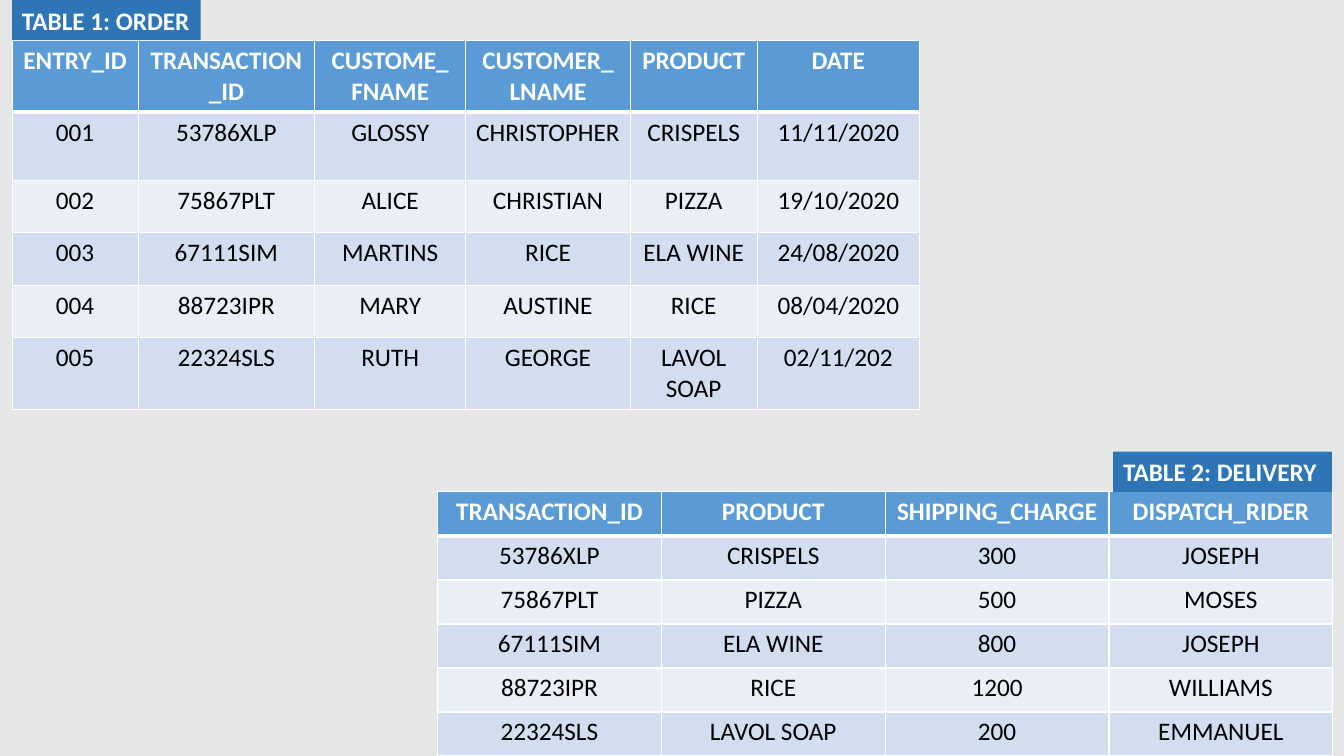
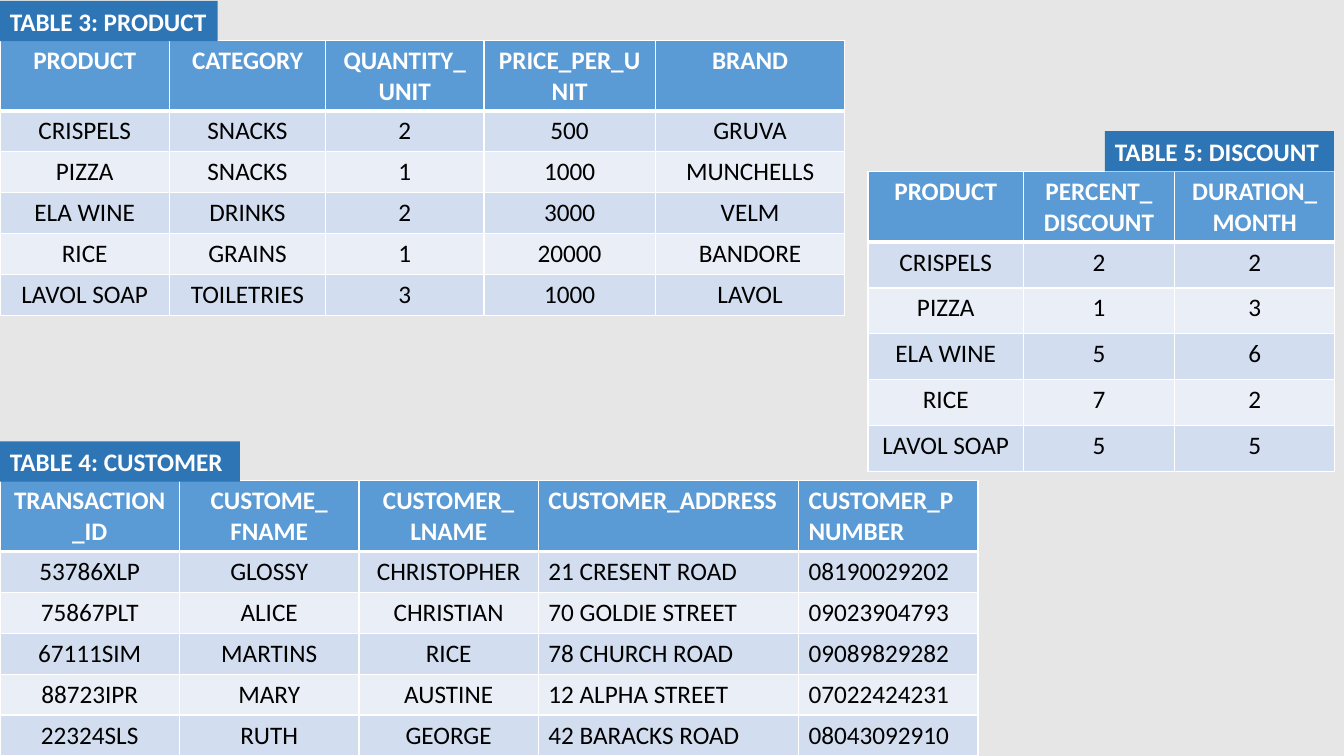
"""Build two slides of shop database tables, each with a title tag."""
from lxml import etree
from pptx import Presentation
from pptx.dml.color import RGBColor
from pptx.enum import shapes, text
from pptx.oxml.ns import qn
from pptx.util import Inches, Pt

PAGE_GREY = RGBColor(0xE7, 0xE6, 0xE6)
TAG_BLUE = RGBColor(0x2E, 0x75, 0xB6)
HEADER_BLUE = RGBColor(0x5B, 0x9B, 0xD5)
BAND_DARK = RGBColor(0xD2, 0xDE, 0xEF)
BAND_LIGHT = RGBColor(0xEA, 0xEF, 0xF7)
WHITE = RGBColor(0xFF, 0xFF, 0xFF)
BLACK = RGBColor(0, 0, 0)

HEADING = {"name": "Calibri", "size": Pt(18), "bold": True}
BODY = {**HEADING, "bold": False}
TAG_HEIGHT = 0.4
TALL_HEADER = 0.7
THIN_LINE, THICK_LINE = Pt(1), Pt(3)

TRANSACTIONS = ["53786XLP", "75867PLT", "67111SIM", "88723IPR", "22324SLS"]
FIRST_NAMES = ["GLOSSY", "ALICE", "MARTINS", "MARY", "RUTH"]
LAST_NAMES = ["CHRISTOPHER", "CHRISTIAN", "RICE", "AUSTINE", "GEORGE"]
PRODUCTS = ["CRISPELS", "PIZZA", "ELA WINE", "RICE", "LAVOL SOAP"]

ORDER = {
    "ENTRY_ID": ["001", "002", "003", "004", "005"],
    "TRANSACTION_ID": TRANSACTIONS,
    "CUSTOME_\nFNAME": FIRST_NAMES,
    "CUSTOMER_\nLNAME": LAST_NAMES,
    "PRODUCT": PRODUCTS,
    "DATE": ["11/11/2020", "19/10/2020", "24/08/2020", "08/04/2020", "02/11/202"],
}
DELIVERY = {
    "TRANSACTION_ID": TRANSACTIONS,
    "PRODUCT": PRODUCTS,
    "SHIPPING_CHARGE": ["300", "500", "800", "1200", "200"],
    "DISPATCH_RIDER": ["JOSEPH", "MOSES", "JOSEPH", "WILLIAMS", "EMMANUEL"],
}
PRODUCT = {
    "PRODUCT": PRODUCTS,
    "CATEGORY": ["SNACKS", "SNACKS", "DRINKS", "GRAINS", "TOILETRIES"],
    "QUANTITY_UNIT": ["2", "1", "2", "1", "3"],
    "PRICE_PER_UNIT": ["500", "1000", "3000", "20000", "1000"],
    "BRAND": ["GRUVA", "MUNCHELLS", "VELM", "BANDORE", "LAVOL"],
}
CUSTOMER = {
    "TRANSACTION_ID": TRANSACTIONS,
    "CUSTOME_\nFNAME": FIRST_NAMES,
    "CUSTOMER_\nLNAME": LAST_NAMES,
    "CUSTOMER_ADDRESS": ["21 CRESENT ROAD", "70 GOLDIE STREET", "78 CHURCH ROAD",
                         "12 ALPHA STREET", "42 BARACKS ROAD"],
    "CUSTOMER_PNUMBER": ["08190029202", "09023904793", "09089829282",
                         "07022424231", "08043092910"],
}
DISCOUNT = {
    "PRODUCT": PRODUCTS,
    "PERCENT_\nDISCOUNT": ["2", "1", "5", "7", "5"],
    "DURATION_\nMONTH": ["2", "3", "6", "2", "5"],
}
LEFT_ALIGNED = {"CUSTOMER_ADDRESS", "CUSTOMER_PNUMBER"}


def style_text(frame, style, color, align):
    """Apply one font style and alignment to every paragraph."""
    for para in frame.paragraphs:
        para.alignment = align
        for span in para.runs:
            for name, value in style.items():
                setattr(span.font, name, value)
            span.font.color.rgb = color


def add_borders(cell, row):
    """Draw white cell edges, thick below the header row."""
    widths = {"lnL": THIN_LINE, "lnR": THIN_LINE,
              "lnT": THICK_LINE if row == 1 else THIN_LINE,
              "lnB": THICK_LINE if row == 0 else THIN_LINE}
    properties = cell._tc.get_or_add_tcPr()
    for edge, width in widths.items():
        line = etree.SubElement(properties, qn(f"a:{edge}"), w=str(width))
        fill = etree.SubElement(line, qn("a:solidFill"))
        etree.SubElement(fill, qn("a:srgbClr"), val=str(WHITE))


def fill_cell(cell, row, content, align):
    """Write and colour one cell according to its row."""
    cell.text = content
    add_borders(cell, row)
    cell.fill.solid()
    if row == 0:
        cell.fill.fore_color.rgb = HEADER_BLUE
        style_text(cell.text_frame, HEADING, WHITE, align)
    else:
        cell.fill.fore_color.rgb = BAND_DARK if row % 2 else BAND_LIGHT
        style_text(cell.text_frame, BODY, BLACK, align)


def row_heights(total, header):
    """Share the height below the header among five equal rows."""
    return [header] + [(total - header) / 5] * 5


def add_data_table(page, columns, left, top, widths, heights):
    """Add a banded table from a dict of headings and column values."""
    frame = page.shapes.add_table(
        len(heights), len(widths), Inches(left), Inches(top),
        Inches(sum(widths)), Inches(sum(heights)))
    table = frame.table
    for row, height in zip(table.rows, heights):
        row.height = Inches(height)
    for index, (heading, values) in enumerate(columns.items()):
        table.columns[index].width = Inches(widths[index])
        align = text.PP_ALIGN.LEFT if heading in LEFT_ALIGNED else text.PP_ALIGN.CENTER
        for row, content in enumerate([heading, *values]):
            fill_cell(table.cell(row, index), row, content, align)


def add_tag(page, title, left, top, width):
    """Add the blue title tag of a table."""
    box = page.shapes.add_shape(
        shapes.MSO_SHAPE.RECTANGLE, Inches(left), Inches(top),
        Inches(width), Inches(TAG_HEIGHT))
    box.shadow.inherit = False
    box.fill.solid()
    box.fill.fore_color.rgb = TAG_BLUE
    box.line.fill.background()
    frame = box.text_frame
    settings = {"text": title, "word_wrap": True, "margin_right": 0,
                "auto_size": text.MSO_AUTO_SIZE.SHAPE_TO_FIT_TEXT}
    for name, value in settings.items():
        setattr(frame, name, value)
    style_text(frame, HEADING, WHITE, text.PP_ALIGN.LEFT)


def add_page(deck):
    """Add a blank slide with the shared grey background."""
    page = deck.slides.add_slide(deck.slide_layouts[6])
    page.background.fill.solid()
    page.background.fill.fore_color.rgb = PAGE_GREY
    return page


def main():
    """Build both slides and save the deck."""
    deck = Presentation()
    deck.slide_width, deck.slide_height = Inches(13.33), Inches(7.5)

    page = add_page(deck)
    add_data_table(page, ORDER, 0.12, 0.4, [1.25, 1.75, 1.5, 1.63, 1.26, 1.61],
                   [TALL_HEADER, 0.68, 0.52, 0.52, 0.52, 0.7])
    add_tag(page, "TABLE 1: ORDER", 0.12, 0, 1.87)
    add_data_table(page, DELIVERY, 4.34, 4.88, [2.22] * 4, row_heights(2.62, 2.62 / 6))
    add_tag(page, "TABLE 2: DELIVERY", 11.04, 4.48, 2.17)

    page = add_page(deck)
    add_data_table(page, PRODUCT, 0, 0.4, [1.68, 1.55, 1.57, 1.7, 1.88],
                   row_heights(2.73, TALL_HEADER))
    add_tag(page, "TABLE 3: PRODUCT", 0, 0.01, 2.16)
    add_data_table(page, CUSTOMER, 0, 4.77, [1.78, 1.78, 1.78, 2.58, 1.78],
                   row_heights(2.73, TALL_HEADER))
    add_tag(page, "TABLE 4: CUSTOMER", 0, 4.38, 2.38)
    add_data_table(page, DISCOUNT, 8.61, 1.7, [1.54, 1.5, 1.59],
                   row_heights(2.98, TALL_HEADER))
    add_tag(page, "TABLE 5: DISCOUNT", 10.96, 1.3, 2.27)

    deck.save("out.pptx")


main()
